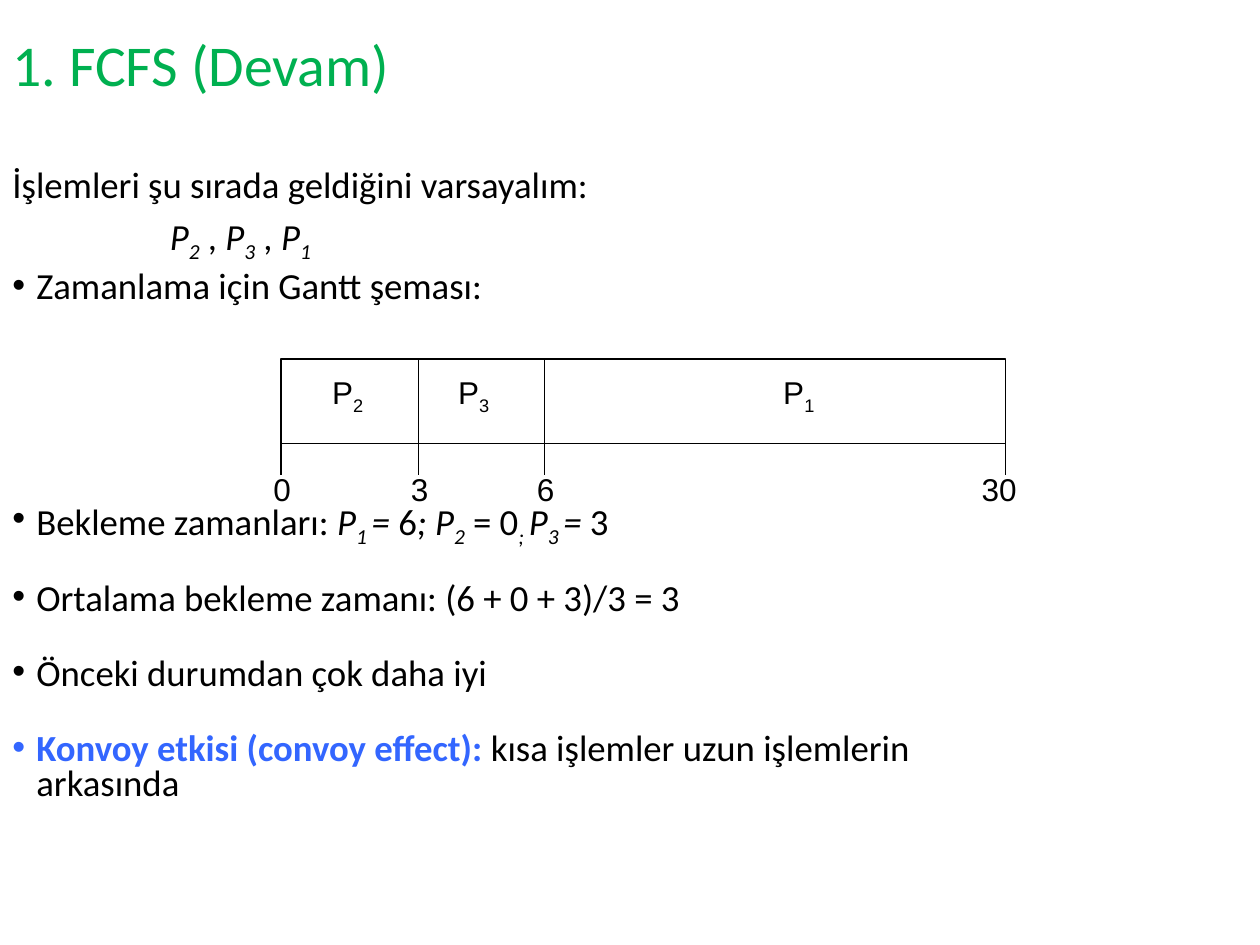
from dataclasses import dataclass

from lxml import etree
from pptx import Presentation
from pptx import util as u
from pptx.dml.color import RGBColor
from pptx.enum import shapes, text
from pptx.oxml import ns


@dataclass(frozen=True)
class Theme:
    ink: RGBColor = RGBColor(0, 0, 0)
    paper: RGBColor = RGBColor(255, 255, 255)
    heading: RGBColor = RGBColor(0x00, 0xB0, 0x50)
    accent: RGBColor = RGBColor(0x33, 0x66, 0xFF)
    body_font: str = "Calibri"
    chart_font: str = "Arial"
    title_size: int = 33
    body_size: int = 21
    chart_size: int = 18
    line_width: float = 0.75


THEME = Theme()

# Gantt bar: each process ends at (time, x); label centres are by process
BAR_TOP, BAR_BOTTOM, TICK_BOTTOM = 2.85, 3.52, 3.77
TIMES = [("0", 2.23, 2.24), ("3", 3.32, 3.33), ("6", 4.32, 4.33), ("30", 7.98, 7.93)]
PROCESSES = [("2", 2.76), ("3", 3.76), ("1", 6.34)]

# Body lines: (space before, bulleted, left margin, runs);
# run styles: i = italic, s = subscript, b = bold accent
HANG = 0.19
BODY = [
    (7.5, False, HANG, [("İşlemleri şu sırada geldiğini varsayalım:", "")]),
    (7.5, False, 1.25, [("P", "i"), ("2", "is"), (" , ", ""), ("P", "i"), ("3", "is"),
                        (" , ", ""), ("P", "i"), ("1", "is")]),
    (7.5, True, HANG, [("Zamanlama için Gantt şeması:", "")]),
    (112, True, HANG, [("Bekleme zamanları: ", ""), ("P", "i"), ("1 ", "is"), ("=", "i"),
                       (" 6", ""), ("; P", "i"), ("2", "is"), (" = 0", ""), ("; ", "is"),
                       ("P", "i"), ("3 ", "is"), ("= ", "i"), ("3", "")]),
    (22.8, True, HANG, [("Ortalama bekleme zamanı: (6 + 0 + 3)/3 = 3", "")]),
    (22.8, True, HANG, [("Önceki durumdan çok daha iyi", "")]),
    (22.8, True, HANG, [("Konvoy etkisi (convoy effect): ", "b"),
                        ("kısa işlemler uzun işlemlerin arkasında", "")]),
]


def add_run(paragraph, words, font, size, color, style=""):
    run = paragraph.add_run()
    run.text = words
    run.font.name = font
    run.font.size = u.Pt(size)
    run.font.color.rgb = color
    run.font.bold = "b" in style
    run.font.italic = "i" in style
    if "s" in style:
        run.font._element.set("baseline", "-25000")


def add_frame(parent, left, top, width, height, anchor, wrap=True):
    box = parent.add_textbox(*map(u.Inches, (left, top, width, height)))
    frame = box.text_frame
    frame.word_wrap = wrap
    frame.vertical_anchor = anchor
    return frame


def set_indent(paragraph, margin, hanging, bullet_color=None):
    props = paragraph._p.get_or_add_pPr()
    props.set("marL", str(u.Inches(margin)))
    props.set("indent", str(-u.Inches(hanging)))
    if bullet_color is not None:
        color = etree.SubElement(props, ns.qn("a:buClr"))
        etree.SubElement(color, ns.qn("a:srgbClr")).set("val", str(bullet_color))
        etree.SubElement(props, ns.qn("a:buFont")).set("typeface", "Arial")
        etree.SubElement(props, ns.qn("a:buChar")).set("char", "•")


def add_title(slide):
    frame = add_frame(slide.shapes, 0, 0.22, 9, 0.63, text.MSO_ANCHOR.MIDDLE)
    heading = frame.paragraphs[0]
    heading.line_spacing = 0.9
    add_run(heading, "1. FCFS (Devam)", THEME.body_font, THEME.title_size, THEME.heading)


def add_body(slide):
    frame = add_frame(slide.shapes, 0, 1.3, 8.45, 5.43, text.MSO_ANCHOR.TOP)
    for index, (space, bulleted, margin, runs) in enumerate(BODY):
        line = frame.add_paragraph() if index else frame.paragraphs[0]
        line.line_spacing = 0.8
        line.space_before = u.Pt(space)
        colors = [THEME.accent if "b" in style else THEME.ink for _, style in runs]
        set_indent(line, margin, HANG if margin == HANG else 0,
                   colors[0] if bulleted else None)
        for (words, style), color in zip(runs, colors):
            add_run(line, words, THEME.body_font, THEME.body_size, color, style)


def add_label(parent, center, top, width, height, runs):
    frame = add_frame(parent, center - width / 2, top, width, height,
                      text.MSO_ANCHOR.MIDDLE, wrap=False)
    label = frame.paragraphs[0]
    label.alignment = text.PP_ALIGN.CENTER
    for words, style in runs:
        add_run(label, words, THEME.chart_font, THEME.chart_size, THEME.ink, style)


def add_rule(parent, x, top, bottom):
    rule = parent.add_connector(shapes.MSO_CONNECTOR.STRAIGHT, u.Inches(x), u.Inches(top),
                                u.Inches(x), u.Inches(bottom))
    rule.line.color.rgb = THEME.ink
    rule.line.width = u.Pt(THEME.line_width)
    etree.SubElement(rule._element.spPr, ns.qn("a:effectLst"))


def add_gantt(slide):
    gantt = slide.shapes.add_group_shape().shapes
    start, end = TIMES[0][1], TIMES[-1][1]
    bar = gantt.add_shape(shapes.MSO_SHAPE.RECTANGLE, u.Inches(start), u.Inches(BAR_TOP),
                          u.Inches(end - start), u.Inches(BAR_BOTTOM - BAR_TOP))
    bar.shadow.inherit = False
    bar.fill.solid()
    bar.fill.fore_color.rgb = THEME.paper
    bar.line.color.rgb = THEME.ink
    bar.line.width = u.Pt(THEME.line_width)

    # Process names inside the bar
    for number, center in PROCESSES:
        add_label(gantt, center, 2.91, 0.45, 0.44, [("P", ""), (number, "s")])

    # Dividers between processes, then ticks and times under every edge
    for _, x, _ in TIMES[1:-1]:
        add_rule(gantt, x, BAR_TOP, BAR_BOTTOM)
    for time, x, center in TIMES:
        add_rule(gantt, x, BAR_BOTTOM, TICK_BOTTOM)
        add_label(gantt, center, 3.68, 0.2 + 0.14 * len(time), 0.4, [(time, "")])


def main():
    deck = Presentation()
    deck.slide_width, deck.slide_height = u.Inches(10), u.Inches(7.5)
    slide = deck.slides.add_slide(deck.slide_layouts[6])
    add_title(slide)
    add_body(slide)
    add_gantt(slide)
    deck.save("out.pptx")


if __name__ == "__main__":
    main()
